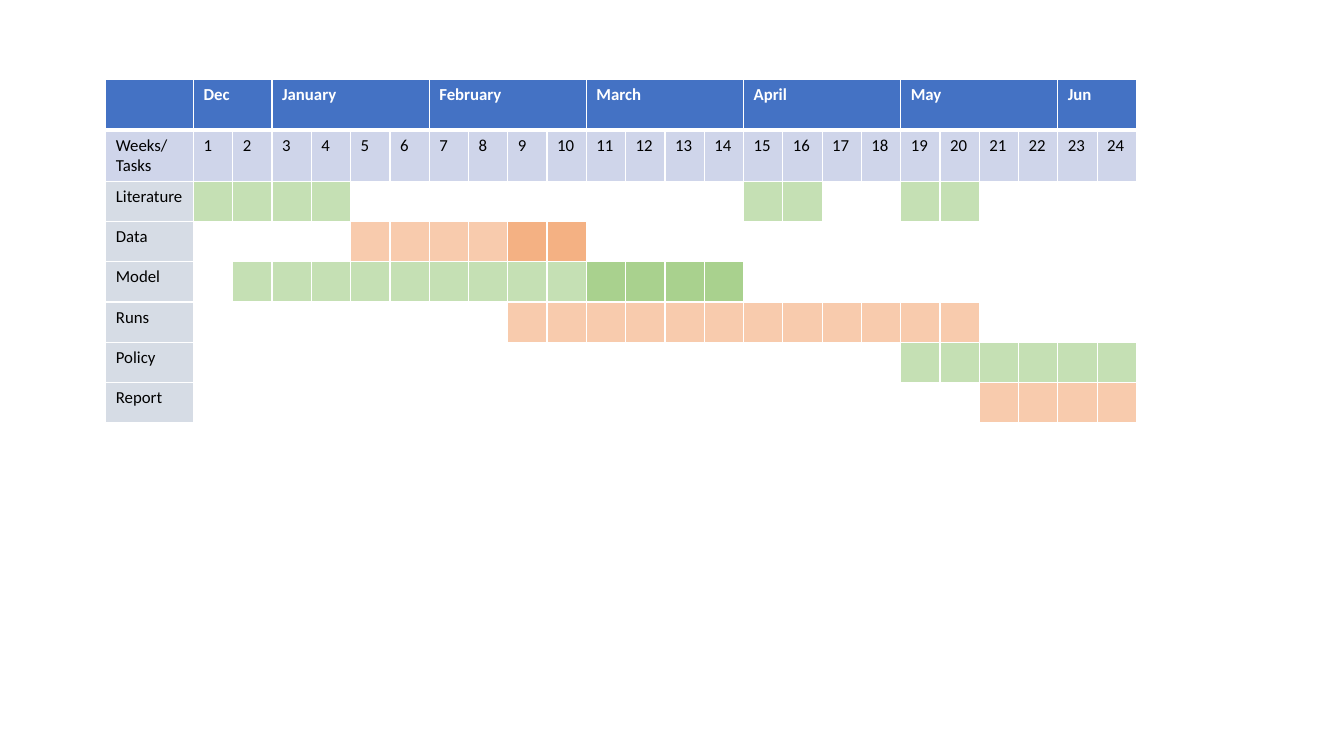
from dataclasses import dataclass
from itertools import product

from lxml.etree import SubElement as Sub
from pptx import Presentation as Deck
from pptx.dml.color import RGBColor as Rgb
from pptx.oxml.ns import qn
from pptx.table import Table, _Cell as Cell
from pptx.util import Pt

HUES = {
    "head": "4472C4", "weeks": "CFD5EA", "task": "D6DCE5",
    "green": "C5E0B4", "moss": "A9D18E", "peach": "F8CBAD", "orange": "F4B183",
    "white": "FFFFFF", "black": "000000",
}
LEFT, TOP = 75.6, 56.88
LABEL, WEEK = 62.64, 28.08
TALL, LOW = 36, 28.8
COUNT = 24


@dataclass
class Month:
    name: str
    weeks: int


@dataclass
class Bar:
    first: int
    last: int
    hue: str


@dataclass
class Task:
    name: str
    bars: list[Bar]


MONTHS = [
    Month("Dec", 2), Month("January", 4), Month("February", 4), Month("March", 4),
    Month("April", 4), Month("May", 4), Month("Jun", 2),
]
TASKS = [
    Task("Literature", [Bar(1, 4, "green"), Bar(15, 16, "green"), Bar(19, 20, "green")]),
    Task("Data", [Bar(5, 8, "peach"), Bar(9, 10, "orange")]),
    Task("Model", [Bar(2, 10, "green"), Bar(11, 14, "moss")]),
    Task("Runs", [Bar(9, 20, "peach")]),
    Task("Policy", [Bar(19, 24, "green")]),
    Task("Report", [Bar(21, 24, "peach")]),
]


def write(cell: Cell, text: str, *, size: float = 12, hue: str = "black",
          bold: bool = False, font: str = "Calibri") -> None:
    run = cell.text_frame.paragraphs[0].add_run()
    run.text = text
    run.font.name, run.font.size, run.font.bold = font, Pt(size), bold
    run.font.color.rgb = Rgb.from_string(HUES[hue])


def paint(cell: Cell, hue: str) -> None:
    cell.fill.solid()
    cell.fill.fore_color.rgb = Rgb.from_string(HUES[hue])


def edge(cell: Cell, side: str, width: float) -> None:
    line = Sub(cell._tc.get_or_add_tcPr(), qn(f"a:ln{side}"), w=str(Pt(width)))
    Sub(Sub(line, qn("a:solidFill")), qn("a:srgbClr"), val=HUES["white"])


def prepare(grid: Table) -> None:
    """Set the sizes, white borders and clear fills of all cells."""
    for col, column in enumerate(grid.columns):
        column.width = Pt(WEEK if col else LABEL)
    for row, line in enumerate(grid.rows):
        line.height = Pt(TALL if row < 2 else LOW)
    for row, col in product(range(len(grid.rows)), range(len(grid.columns))):
        cell = grid.cell(row, col)
        for side in "LRTB":
            thick = (row, side) in ((0, "B"), (1, "T"))
            edge(cell, side, 3 if thick else 1)
        cell.fill.background()
        # Small type keeps empty rows low
        Sub(cell.text_frame.paragraphs[0]._p, qn("a:endParaRPr"), sz="1200")


def label(grid: Table, row: int, text: str, hue: str) -> None:
    cell = grid.cell(row, 0)
    cell.margin_right = Pt(5)
    paint(cell, hue)
    write(cell, text)


def main() -> None:
    deck = Deck()
    deck.slide_width, deck.slide_height = Pt(960), Pt(540)
    slide = deck.slides.add_slide(deck.slide_layouts[6])
    rows = len(TASKS) + 2
    grid = slide.shapes.add_table(
        rows, COUNT + 1, Pt(LEFT), Pt(TOP),
        Pt(LABEL + COUNT * WEEK), Pt(2 * TALL + len(TASKS) * LOW)).table
    grid.horz_banding = False
    prepare(grid)

    # Months
    paint(grid.cell(0, 0), "head")
    col = 1
    for month in MONTHS:
        cell = grid.cell(0, col)
        cell.merge(grid.cell(0, col + month.weeks - 1))
        paint(cell, "head")
        write(cell, month.name, hue="white", bold=True)
        col += month.weeks

    # Weeks
    label(grid, 1, "Weeks/ Tasks", "weeks")
    for week in range(1, COUNT + 1):
        paint(grid.cell(1, week), "weeks")
        write(grid.cell(1, week), str(week))

    # Tasks and their bars
    for row, task in enumerate(TASKS, 2):
        label(grid, row, task.name, "task")
        for bar in task.bars:
            for week in range(bar.first, bar.last + 1):
                paint(grid.cell(row, week), bar.hue)

    deck.save("out.pptx")


if __name__ == "__main__":
    main()
